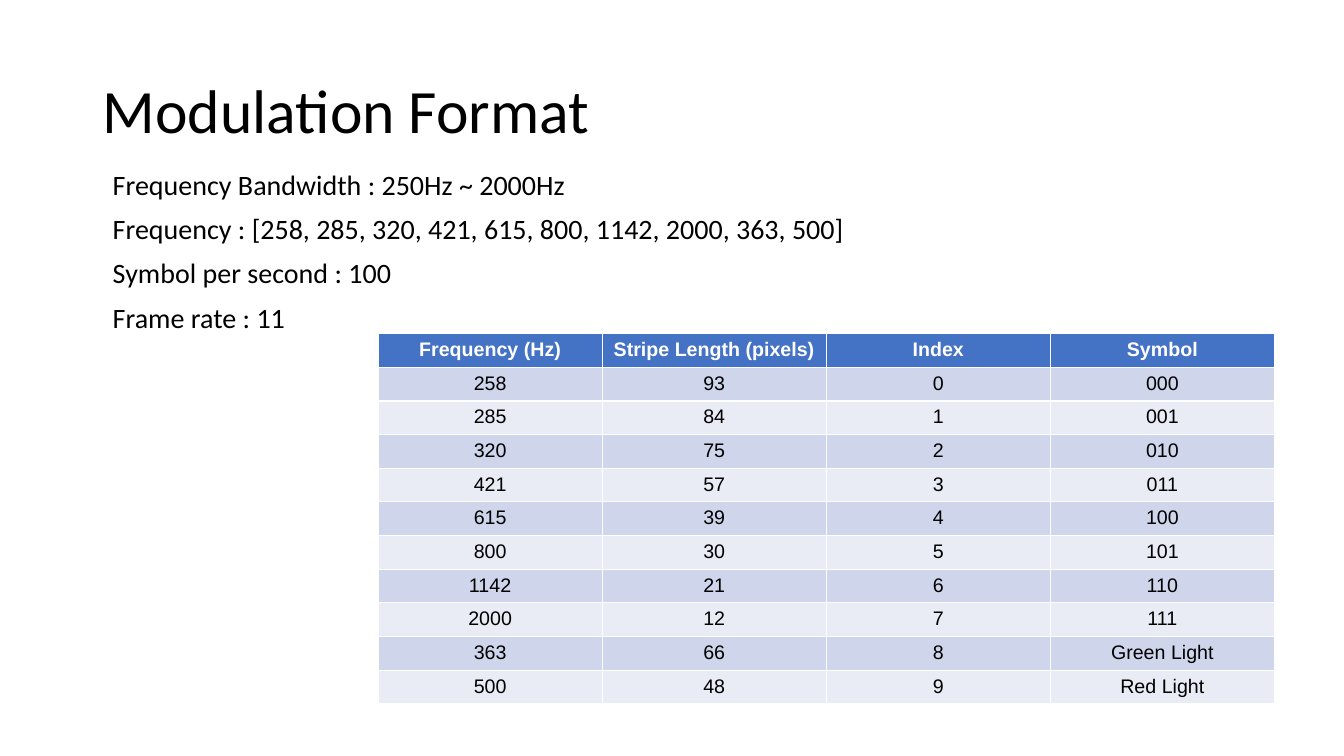
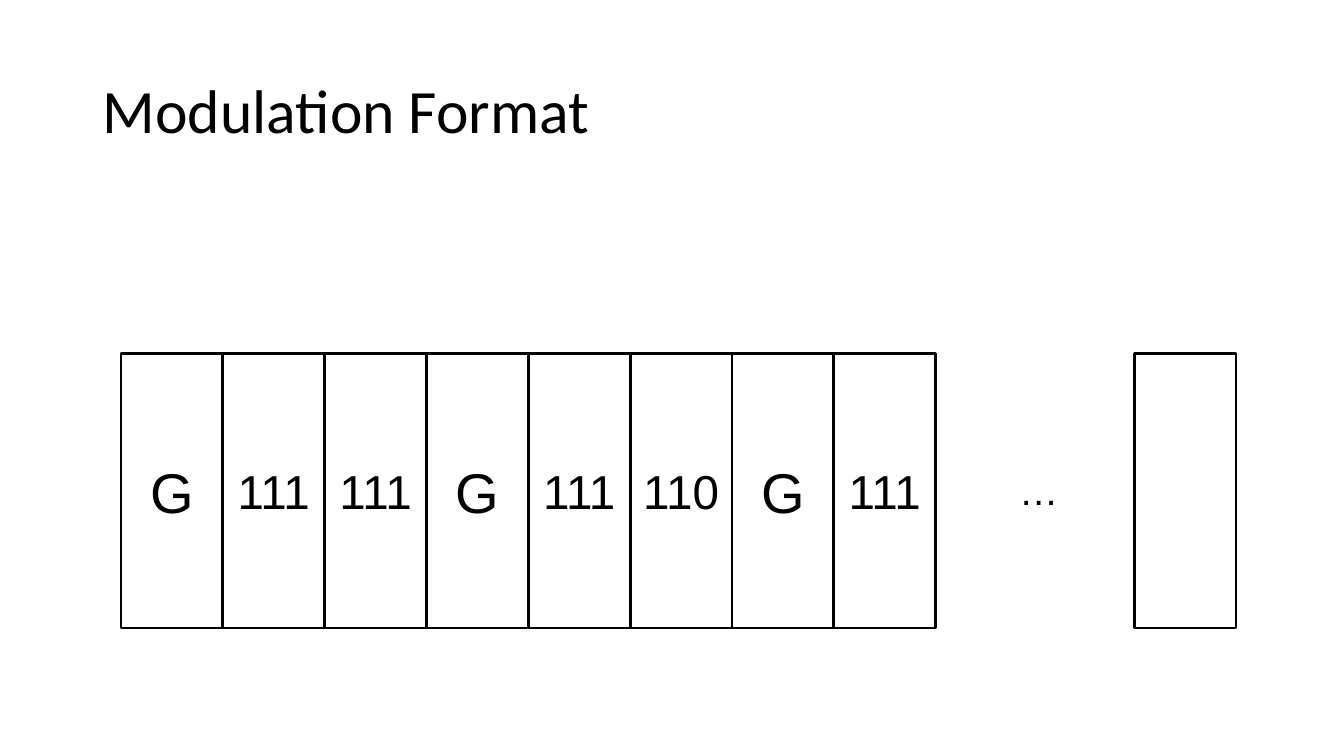
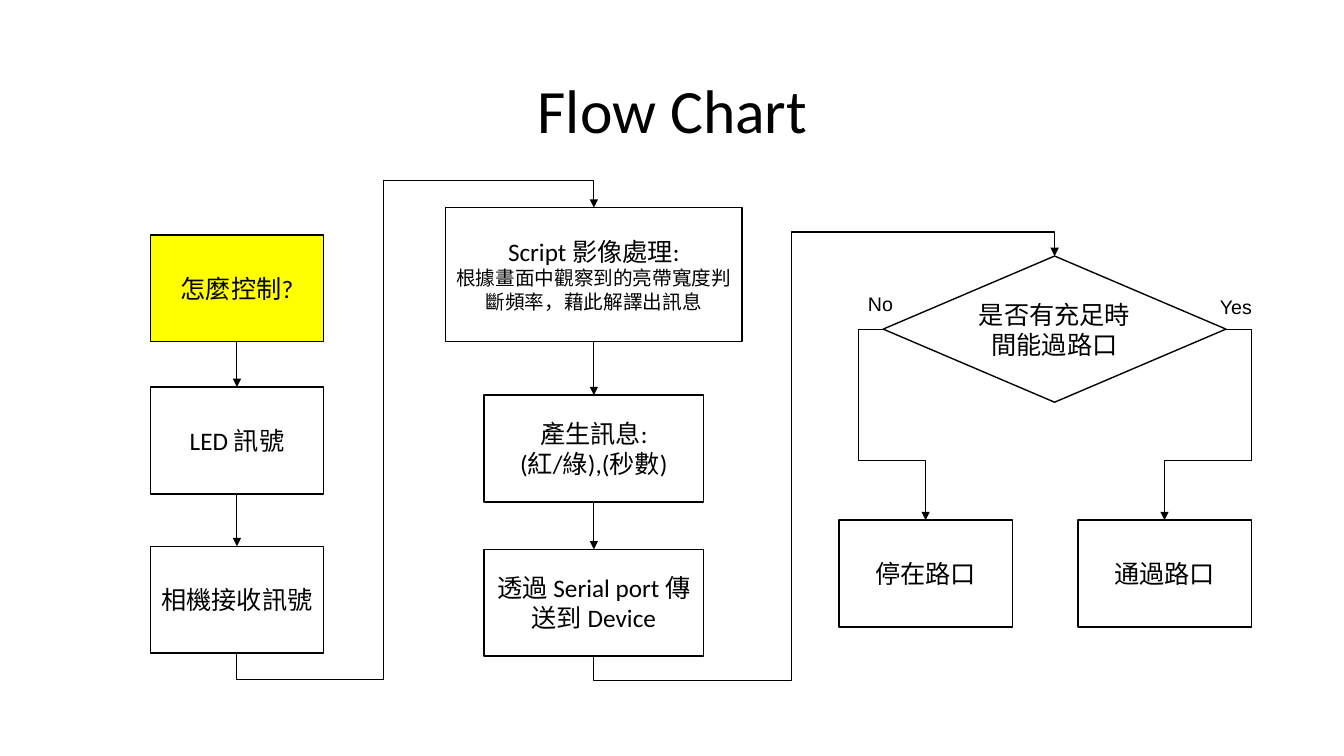
"""Build three slides on a light signal: its code table, its frame and its flow chart."""
from lxml.etree import SubElement
from pptx import Presentation
from pptx.dml.color import RGBColor
from pptx.enum.shapes import MSO_CONNECTOR, MSO_SHAPE
from pptx.enum.text import MSO_ANCHOR, PP_ALIGN
from pptx.oxml.ns import qn
from pptx.util import Inches, Pt

BLACK = RGBColor(0x00, 0x00, 0x00)
WHITE = RGBColor(0xFF, 0xFF, 0xFF)
YELLOW = RGBColor(0xFF, 0xFF, 0x00)
BLUE = RGBColor(0x44, 0x72, 0xC4)
BANDS = [RGBColor(0xE9, 0xEB, 0xF5), RGBColor(0xCF, 0xD5, 0xEA)]
LEFT, MID = PP_ALIGN.LEFT, PP_ALIGN.CENTER
TOP, LOW = 0, 2


def write(frame, lines, font="Arial", align=LEFT, color=BLACK, bold=False):
    """Fill a text frame with one paragraph per (text, size) pair."""
    for num, (text, size) in enumerate(lines):
        para = frame.add_paragraph() if num else frame.paragraphs[0]
        para.alignment = align
        run = para.add_run()
        run.text = text
        run.font.name, run.font.size = font, Pt(size)
        run.font.color.rgb, run.font.bold = color, bold


def block(slide, kind, box, fill, width):
    """Add an outlined shape with centred content and no shadow."""
    shape = slide.shapes.add_shape(kind, *map(Inches, box))
    shape.shadow.inherit = False
    if fill is None:
        shape.fill.background()
    else:
        shape.fill.solid()
        shape.fill.fore_color.rgb = fill
    shape.line.color.rgb, shape.line.width = BLACK, Pt(width)
    shape.text_frame.word_wrap = True
    shape.text_frame.vertical_anchor = MSO_ANCHOR.MIDDLE
    return shape


deck = Presentation()
deck.slide_width, deck.slide_height = Inches(13.33), Inches(7.5)
slides = []
for name, align in [("Modulation Format", LEFT), ("Modulation Format", LEFT), ("Flow Chart", MID)]:
    slide = deck.slides.add_slide(deck.slide_layouts[5])
    title = slide.shapes.title
    title.left, title.top = Inches(0.92), Inches(0.4)
    title.width, title.height = Inches(11.5), Inches(1.45)
    title.text_frame.vertical_anchor = MSO_ANCHOR.MIDDLE
    write(title.text_frame, [(name, 44)], "Calibri", align)
    title.text_frame.paragraphs[0].line_spacing = 0.9
    slides.append(slide)
table_slide, frame_slide, flow_slide = slides

facts = [
    "Frequency Bandwidth : 250Hz ~ 2000Hz",
    "Frequency : [258, 285, 320, 421, 615, 800, 1142, 2000, 363, 500]",
    "Symbol per second : 100",
    "Frame rate : 11",
]
notes = table_slide.shapes.add_textbox(Inches(0.9), Inches(1.65), Inches(11.5), Inches(1.66))
notes.text_frame.word_wrap = True
write(notes.text_frame, [(fact, 20) for fact in facts], "Calibri")
for para in notes.text_frame.paragraphs:
    para.line_spacing, para.space_before = 0.9, Pt(10)
    para._p.get_or_add_pPr().set("marL", str(Inches(0.12)))

rows = [
    ("Frequency (Hz)", "Stripe Length (pixels)", "Index", "Symbol"),
    ("258", "93", "0", "000"),
    ("285", "84", "1", "001"),
    ("320", "75", "2", "010"),
    ("421", "57", "3", "011"),
    ("615", "39", "4", "100"),
    ("800", "30", "5", "101"),
    ("1142", "21", "6", "110"),
    ("2000", "12", "7", "111"),
    ("363", "66", "8", "Green Light"),
    ("500", "48", "9", "Red Light"),
]
table = table_slide.shapes.add_table(
    len(rows), 4, Inches(3.75), Inches(3.31), Inches(8.89), Inches(0.32 * len(rows))
).table
for num, row in enumerate(rows):
    for col, text in enumerate(row):
        cell = table.cell(num, col)
        cell.fill.solid()
        cell.fill.fore_color.rgb = BANDS[num % 2] if num else BLUE
        write(cell.text_frame, [(text, 14)], align=MID, color=BLACK if num else WHITE, bold=num == 0)

wide = 1.01
for num, code in enumerate(["G", "111", "111", "G", "111", "110", "G", "111"]):
    slot = block(frame_slide, MSO_SHAPE.RECTANGLE, (1.2 + num * wide, 3.51, wide, 2.72), None, 2)
    slot.text_frame.margin_left = slot.text_frame.margin_right = 0
    write(slot.text_frame, [(code, 40 if code == "G" else 34)], align=MID)
block(frame_slide, MSO_SHAPE.RECTANGLE, (11.25, 3.51, wide, 2.72), None, 2)

labels = [
    (frame_slide, "…", 28, (10.01, 4.58, 0.59, 0.57)),
    (flow_slide, "Yes", 14, (12, 2.88, 0.54, 0.34)),
    (flow_slide, "No", 14, (8.51, 2.85, 0.45, 0.34)),
]
for slide, text, size, box in labels:
    label = slide.shapes.add_textbox(*map(Inches, box))
    label.text_frame.word_wrap = False
    write(label.text_frame, [(text, size)])

steps = {
    "ask": ((1.49, 2.33, 1.72, 1.06), [("怎麼控制?", 18)]),
    "light": ((1.49, 3.84, 1.72, 1.06), [("LED 訊號", 18)]),
    "lens": ((1.49, 5.42, 1.72, 1.06), [("相機接收訊號", 18)]),
    "image": (
        (4.42, 2.06, 2.94, 1.33),
        [("Script 影像處理:", 18), ("根據畫面中觀察到的亮帶寬度判斷頻率，藉此解譯出訊息", 14)],
    ),
    "result": ((4.8, 3.92, 2.18, 1.06), [("產生訊息:", 18), ("(紅/綠),(秒數)", 18)]),
    "send": ((4.8, 5.45, 2.18, 1.06), [("透過 Serial port 傳送到 Device", 18)]),
    "check": ((8.76, 2.54, 3.4, 1.45), [("是否有充足時間能過路口", 18)]),
    "stop": ((8.32, 5.16, 1.72, 1.06), [("停在路口", 18)]),
    "pass": ((10.69, 5.16, 1.72, 1.06), [("通過路口", 18)]),
}
nodes = {}
for key, (box, lines) in steps.items():
    kind = MSO_SHAPE.DIAMOND if key == "check" else MSO_SHAPE.RECTANGLE
    nodes[key] = block(flow_slide, kind, box, YELLOW if key == "ask" else WHITE, 1)
    write(nodes[key].text_frame, lines, "Calibri", MID)

links = [
    ("ask", LOW, "light", []),
    ("light", LOW, "lens", []),
    ("image", LOW, "result", []),
    ("result", LOW, "send", []),
    ("lens", LOW, "image", [-0.06, 0.41, 1.06]),
    ("send", LOW, "check", [-0.06, 0.43, 1.06]),
    ("check", 1, "stop", [-0.59, 0.69]),
    ("check", 3, "pass", [-0.41, 0.69]),
]
for start, side, end, bends in links:
    kind = MSO_CONNECTOR.ELBOW if bends else MSO_CONNECTOR.STRAIGHT
    link = flow_slide.shapes.add_connector(kind, 0, 0, 0, 0)
    link.begin_connect(nodes[start], side)
    link.end_connect(nodes[end], TOP)
    link.line.color.rgb, link.line.width = BLACK, Pt(0.75)
    props = link._element.spPr
    SubElement(link.line._get_or_add_ln(), qn("a:tailEnd"), type="triangle")
    SubElement(props, qn("a:effectLst"))
    if bends:
        shape = props.find(qn("a:prstGeom"))
        shape.set("prst", f"bentConnector{len(bends) + 2}")
        guides = shape.find(qn("a:avLst"))
        for num, bend in enumerate(bends, 1):
            SubElement(guides, qn("a:gd"), name=f"adj{num}", fmla=f"val {round(bend * 100000)}")
    if len(bends) == 3:
        wide, high = link.width, link.height
        link.left += (wide - high) // 2
        link.top += (high - wide) // 2
        link.width, link.height = high, wide
        link.rotation = 270
        props.find(qn("a:xfrm")).set("flipV", "0")

deck.save("out.pptx")
